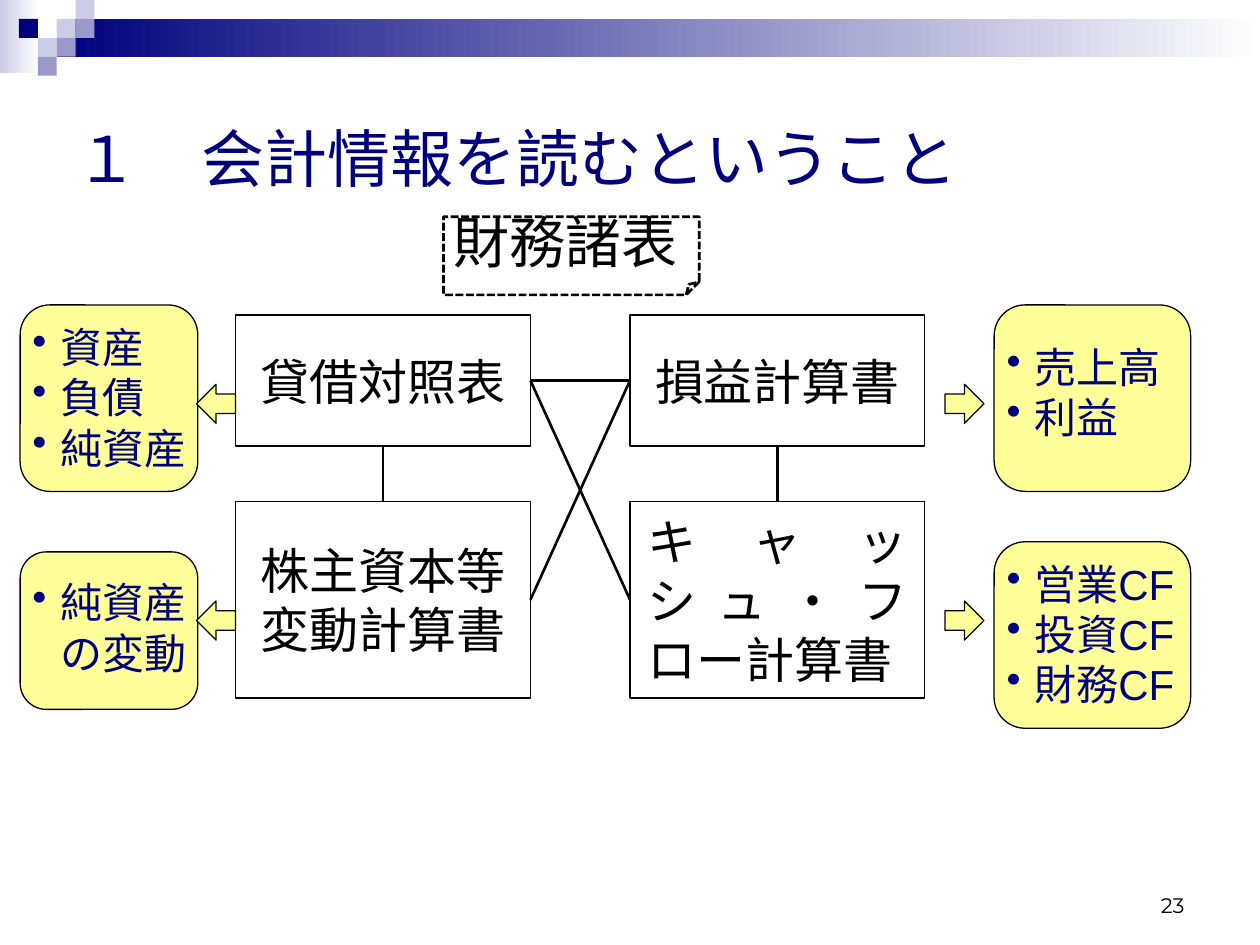
"""Build the slide on reading accounting information."""
from lxml import etree
from pptx import Presentation
from pptx.dml.color import RGBColor
from pptx.enum.dml import MSO_LINE
from pptx.enum.shapes import MSO_CONNECTOR, MSO_SHAPE
from pptx.enum.text import MSO_ANCHOR, PP_ALIGN
from pptx.oxml.ns import qn
from pptx.util import Inches, Pt

RECT, ROUND = MSO_SHAPE.RECTANGLE, MSO_SHAPE.ROUNDED_RECTANGLE
FOLD = MSO_SHAPE.FOLDED_CORNER
LEFT_ARROW, RIGHT_ARROW = MSO_SHAPE.LEFT_ARROW, MSO_SHAPE.RIGHT_ARROW
STRAIGHT, DASH = MSO_CONNECTOR.STRAIGHT, MSO_LINE.SQUARE_DOT
TOP, MIDDLE, BOTTOM = MSO_ANCHOR.TOP, MSO_ANCHOR.MIDDLE, MSO_ANCHOR.BOTTOM
LEFT, CENTER, RIGHT, JUST = (PP_ALIGN.LEFT, PP_ALIGN.CENTER,
                             PP_ALIGN.RIGHT, PP_ALIGN.JUSTIFY)

NAVY, LILAC, PALE = "00007D", "9999CC", "CCCCE6"
BLACK, WHITE, CREAM = "000000", "FFFFFF", "FFFF99"
SANS, SERIF, DIGIT = "Arial", "TeX Gyre Schola", "Montserrat"

TITLE = "１\u3000会計情報を読むということ"
HEAD = "財務諸表"
BANDS = [((0, 0, 0.31, 0.58), PALE), ((0.45, 0.15, 9.55, 0.3), NAVY)]
TILE = 0.15
TILES = [(3, 1, PALE), (4, 0, PALE), (4, 1, LILAC), (2, 2, PALE),
         (1, 1, NAVY), (3, 2, LILAC), (2, 3, LILAC)]
COLS, ROWS = (1.87, 5), ((2.5, 1.04), (3.98, 1.56))
BOX_W = 2.34
BOXES = [(0, 0, "貸借対照表", CENTER), (1, 0, "損益計算書", CENTER),
         (1, 1, "キャッシュ・フロー計算書", JUST),
         (0, 1, "株主資本等変動計算書", CENTER)]
CARDS = [((0.16, 4.38, 1.41, 1.25), (4.53, 1.56, 0.91), ["純資産の変動"]),
         ((7.89, 4.3, 1.56, 1.48), (4.38, 1.88, 1.31),
          ["営業CF", "投資CF", "財務CF"]),
         ((7.89, 2.42, 1.56, 1.48), (2.66, 1.88, 0.91), ["売上高", "利益"]),
         ((0.16, 2.42, 1.41, 1.48), (2.5, 1.56, 1.31),
          ["資産", "負債", "純資産"])]
ARROWS = [(7.5, RIGHT_ARROW), (1.56, LEFT_ARROW)]


def color(code):
    """Turn a hex string into a colour."""
    return RGBColor.from_string(code)


def place(part, at):
    """Set the position and size of a part."""
    part.left, part.top, part.width, part.height = map(Inches, at)


def draw(kind, at, fill=None, line=None, width=0.75):
    """Add a flat shape."""
    part = slide.shapes.add_shape(kind, *map(Inches, at))
    part.shadow.inherit = False
    if fill:
        part.fill.solid()
        part.fill.fore_color.rgb = color(fill)
    else:
        part.fill.background()
    if line:
        part.line.color.rgb = color(line)
        part.line.width = Pt(width)
    else:
        part.line.fill.background()
    return part


def write(part, items, size, font, tint, align=LEFT, anchor=TOP,
          inset=(0.1, 0.05), bullet=False):
    """Fill a part with one paragraph per item."""
    frame = part.text_frame
    frame.word_wrap = True
    frame.vertical_anchor = anchor
    frame.margin_left = frame.margin_right = Inches(inset[0])
    frame.margin_top = frame.margin_bottom = Inches(inset[1])
    for i, item in enumerate(items):
        para = frame.add_paragraph() if i else frame.paragraphs[0]
        para.alignment = align
        run = para.add_run()
        run.text = item
        run.font.size = Pt(size)
        run.font.name = font
        run.font.color.rgb = color(tint)
        if bullet:
            props = para._p.get_or_add_pPr()
            props.set("marL", str(Inches(0.22)))
            props.set("indent", str(-Inches(0.22)))
            etree.SubElement(props, qn("a:buChar")).set("char", "•")


def join(start, end):
    """Add a straight black line."""
    link = slide.shapes.add_connector(STRAIGHT, *map(Inches, start + end))
    link.line.color.rgb = color(BLACK)
    link.line.width = Pt(1.5)
    etree.SubElement(link._element.spPr, qn("a:effectLst"))


deck = Presentation()
deck.slide_width, deck.slide_height = Inches(10), Inches(7.5)
slide = deck.slides.add_slide(deck.slide_layouts[5])

for at, tint in BANDS:
    band = draw(RECT, at, WHITE)
    band.fill.gradient()
    band.fill.gradient_angle = 0
    for stop, code in zip(band.fill.gradient_stops, (tint, WHITE)):
        stop.color.rgb = color(code)
for col, row, tint in TILES:
    draw(RECT, (col * TILE, row * TILE, TILE, TILE), tint)

title = slide.shapes.title
place(title, (0.5, 0.5, 9, 1.5))
write(title, [TITLE], 36, SANS, NAVY, anchor=MIDDLE)
page = slide.shapes.add_textbox(*map(Inches, (7.17, 6.83, 2.33, 0.5)))
write(page, ["23"], 12, DIGIT, BLACK, RIGHT, BOTTOM)

for at, _, _ in CARDS:
    draw(ROUND, at, CREAM, BLACK)
for col, row, name, align in BOXES:
    top, high = ROWS[row]
    box = draw(RECT, (COLS[col], top, BOX_W, high), WHITE, BLACK)
    write(box, [name], 28, SERIF, BLACK, align, MIDDLE, (0.14, 0.01))
head = draw(RECT, (3.52, 1.64, 3.17, 0.63), WHITE)
write(head, [HEAD], 32, SERIF, BLACK, inset=(0.08, 0.01))

upper, lower = (top + high / 2 for top, high in ROWS)
inner, outer = COLS[0] + BOX_W, COLS[1]
for left in reversed(COLS):
    mid = left + BOX_W / 2
    join((mid, sum(ROWS[0])), (mid, ROWS[1][0]))
join((inner, upper), (outer, upper))
join((outer, upper), (inner, lower))
join((inner, upper), (outer, lower))

for at, (top, wide, high), items in CARDS:
    note = slide.shapes.add_textbox(*map(Inches, (at[0], top, wide, high)))
    write(note, items, 24, SANS, NAVY, bullet=True)
for left, kind in ARROWS:
    for top in (3.05, 4.77):
        draw(kind, (left, top, 0.31, 0.31), CREAM, BLACK)
fold = draw(FOLD, (3.52, 1.72, 2.03, 0.62), line=BLACK, width=1.5)
fold.line.dash_style = DASH

deck.save("out.pptx")
